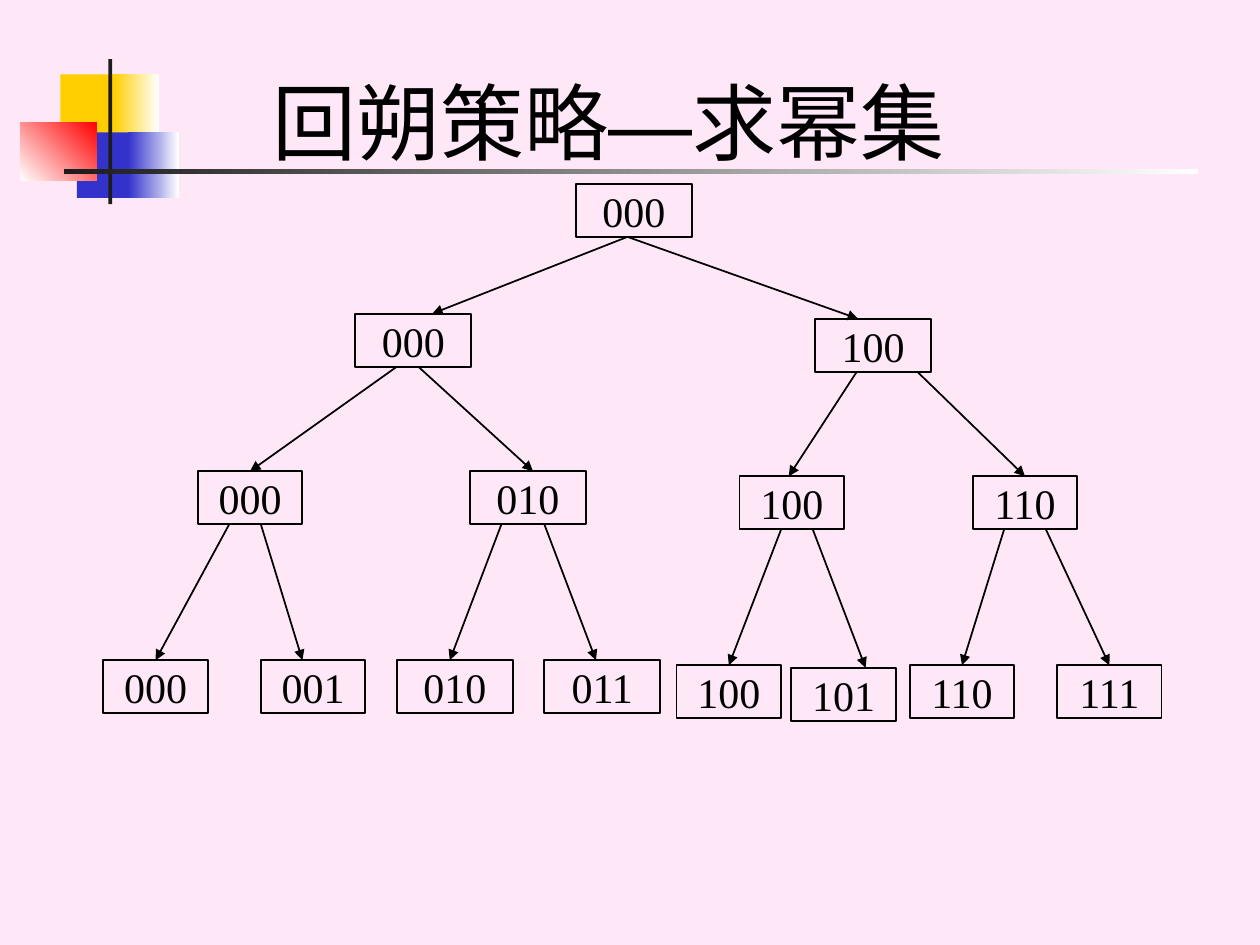
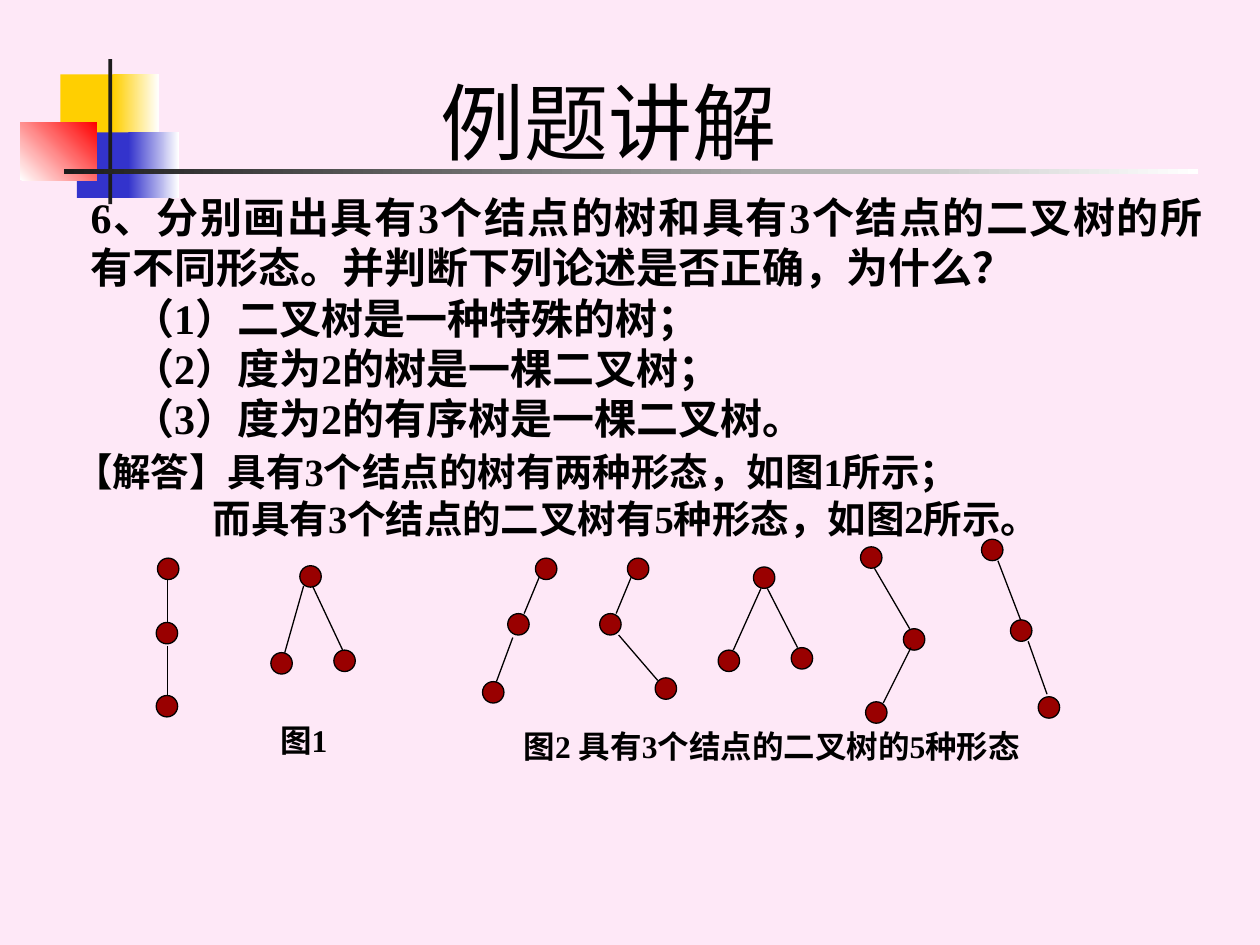
from lxml import etree
from pptx import Presentation
from pptx.dml.color import RGBColor
from pptx.enum.shapes import MSO_CONNECTOR, MSO_SHAPE
from pptx.enum.text import MSO_ANCHOR, PP_ALIGN
from pptx.oxml.ns import qn
from pptx.util import Inches, Pt

RECT, OVAL = MSO_SHAPE.RECTANGLE, MSO_SHAPE.OVAL
STRAIGHT = MSO_CONNECTOR.STRAIGHT
CENTER, JUSTIFY, LEFT = PP_ALIGN.CENTER, PP_ALIGN.JUSTIFY, PP_ALIGN.LEFT
MIDDLE = MSO_ANCHOR.MIDDLE

PINK = RGBColor(0xFE, 0xE8, 0xF7)
YELLOW = RGBColor(0xFF, 0xCF, 0x01)
BLUE = RGBColor(0x33, 0x33, 0xCC)
RED = RGBColor(0xFF, 0x00, 0x00)
DARK = RGBColor(0x1C, 0x1C, 0x1C)
WHITE = RGBColor(0xFF, 0xFF, 0xFF)
BLACK = RGBColor(0x00, 0x00, 0x00)
MAROON = RGBColor(0x99, 0x00, 0x00)

SERIF, SANS, DASH = "Times New Roman", "Cabin", "Arial"

# The slide is a grid of 100 columns by 75 rows of square cells
SLIDE_WIDTH, SLIDE_HEIGHT = Inches(10), Inches(7.5)
CELL = SLIDE_WIDTH / 100

NODE_HEIGHT = 4.2
NARROW, WIDE = 8.3, 9.2
DOT = 1.7

# Search tree by level: label, left, top, width, then the columns where
# the arrow from the parent starts and ends
LEVELS = [
    [("000", 45.7, 14.6, WIDE, None, None)],
    [("000", 28.2, 24.9, WIDE, 49.8, 34.3),
     ("100", 64.7, 25.3, WIDE, 49.8, 68.1)],
    [("000", 15.7, 37.4, NARROW, 31.5, 19.8),
     ("010", 37.3, 37.4, WIDE, 33.2, 42.3),
     ("100", 58.7, 37.8, NARROW, 68, 62.6),
     ("110", 77.2, 37.8, NARROW, 72.8, 81.4)],
    [("000", 8.2, 52.4, NARROW, 18.2, 12.3),
     ("001", 20.7, 52.4, NARROW, 20.7, 24),
     ("010", 31.5, 52.4, WIDE, 39.8, 35.7),
     ("011", 43.2, 52.4, WIDE, 43.2, 47.3),
     ("100", 53.7, 52.8, NARROW, 62, 57.8),
     ("101", 62.8, 53, NARROW, 64.5, 68.7),
     ("110", 72.2, 52.8, NARROW, 79.7, 76.4),
     ("111", 83.9, 52.8, NARROW, 83, 88)],
]

# Three-node shapes: corners of the dots, then ends of the branches
TREES = [
    ([(12.5, 44.3), (12.4, 49.4), (12.4, 55.2)],
     [(13.3, 46, 13.3, 49.4), (13.3, 51.3, 13.3, 55.2)]),
    ([(23.8, 44.9), (21.5, 51.8), (26.5, 51.6)],
     [(24.1, 46.5, 22.6, 51.8), (24.8, 46.5, 27.2, 51.6)]),
]
BINARY_TREES = [
    ([(42.5, 44.3), (40.3, 48.7), (38.3, 54.1)],
     [(42.8, 45.8, 41.6, 48.7), (40.7, 50.6, 39.4, 54.1)]),
    ([(49.8, 44.3), (47.6, 48.7), (52, 53.8)],
     [(50.1, 45.8, 48.9, 48.7), (49.1, 50.4, 52.2, 54)]),
    ([(59.8, 45), (57, 51.6), (62.8, 51.4)],
     [(60.4, 46.7, 58.2, 51.6), (60.9, 46.7, 63.3, 51.4)]),
    ([(68.3, 43.4), (71.7, 49.9), (68.7, 55.7)],
     [(69.4, 45.1, 72.2, 49.9), (72.3, 51.4, 70.1, 55.8)]),
    ([(77.9, 42.8), (80.2, 49.2), (82.4, 55.3)],
     [(79.2, 44.5, 81, 49.2), (81.6, 50.9, 83.1, 55.1)]),
]

QUESTION = [
    ("6、分别画出具有3个结点的树和具有3个结点的二叉树的所有不同形态。"
     "并判断下列论述是否正确，为什么？", JUSTIFY, 0),
    ("（1）二叉树是一种特殊的树；", JUSTIFY, 3.3),
    ("（2）度为2的树是一棵二叉树；", JUSTIFY, 3.3),
    ("（3）度为2的有序树是一棵二叉树。", LEFT, 3.3),
]
ANSWER = [
    ("【解答】具有3个结点的树有两种形态，如图1所示；", LEFT, 0),
    ("而具有3个结点的二叉树有5种形态，如图2所示。", LEFT, 11),
]


def cells(*counts):
    return [round(count * CELL) for count in counts]


def add_span(para, text, size, latin=SERIF, east_asian=SANS, bold=False):
    span = para.add_run()
    span.text = text
    formats = {"name": latin, "size": Pt(size), "bold": bold}
    for name, value in formats.items():
        setattr(span.font, name, value)
    span.font.color.rgb = BLACK
    properties = span.font._element
    etree.SubElement(properties, qn("a:ea")).set("typeface", east_asian)


def add_box(shapes, area, inset=True):
    box = shapes.add_textbox(*cells(*area))
    frame = box.text_frame
    frame.word_wrap = True
    if not inset:
        for side in ("left", "top", "right", "bottom"):
            setattr(frame, f"margin_{side}", 0)
    return frame


def add_paragraphs(shapes, area, lines, size, inset=True):
    """Bold text: each line is its wording, alignment and first indent."""
    frame = add_box(shapes, area, inset)
    for number, (text, alignment, indent) in enumerate(lines):
        para = frame.add_paragraph() if number else frame.paragraphs[0]
        para.alignment = alignment
        if indent:
            para._p.get_or_add_pPr().set("indent", str(cells(indent)[0]))
        add_span(para, text, size, bold=True)


def add_shape(shapes, kind, area, fill=None, line_width=None):
    shape = shapes.add_shape(kind, *cells(*area))
    shape.shadow.inherit = False
    if fill is None:
        shape.fill.background()
    else:
        shape.fill.solid()
        shape.fill.fore_color.rgb = fill
    if line_width is None:
        shape.line.fill.background()
    else:
        shape.line.color.rgb = BLACK
        shape.line.width = Pt(line_width)
    return shape


def add_fade(shapes, area, first, last, angle=0):
    shape = add_shape(shapes, RECT, area)
    shape.fill.gradient()
    shape.fill.gradient_angle = angle
    for stop, colour in zip(shape.fill.gradient_stops, (first, last)):
        stop.color.rgb = colour


def add_line(shapes, ends, width, arrow=False):
    line = shapes.add_connector(STRAIGHT, *cells(*ends))
    line.line.color.rgb = BLACK
    line.line.width = Pt(width)
    if arrow:
        outline = line.line._get_or_add_ln()
        etree.SubElement(outline, qn("a:tailEnd")).set("type", "triangle")
    etree.SubElement(line._element.spPr, qn("a:effectLst"))
    return line


def add_page(deck, title_spans):
    """Blank page with background, corner ornament, rule and title."""
    page = deck.slides.add_slide(deck.slide_layouts[6])
    page.background.fill.solid()
    page.background.fill.fore_color.rgb = PINK
    shapes = page.shapes
    add_shape(shapes, RECT, (4.8, 5.9, 4.8, 5.2), YELLOW)
    add_fade(shapes, (9, 5.9, 3.6, 5.2), YELLOW, WHITE)
    add_shape(shapes, RECT, (6.1, 10.5, 4.6, 5.2), BLUE)
    add_fade(shapes, (10.2, 10.5, 4, 5.2), BLUE, WHITE)
    add_fade(shapes, (1.6, 9.7, 6.1, 4.6), WHITE, RED, 45)
    add_shape(shapes, RECT, (8.6, 4.7, 0.3, 11.5), DARK)
    add_fade(shapes, (5.1, 13.4, 90, 0.4), DARK, WHITE)

    para = add_box(shapes, (5.7, 5.1, 85.2, 9)).paragraphs[0]
    para.alignment = CENTER
    for text, font in title_spans:
        add_span(para, text, 48, font, font)
    return shapes


def add_node(shapes, label, left, top, width):
    box = add_shape(shapes, RECT, (left, top, width, NODE_HEIGHT), line_width=1)
    frame = box.text_frame
    frame.word_wrap = False
    frame.vertical_anchor = MIDDLE
    para = frame.paragraphs[0]
    para.alignment = CENTER
    add_span(para, label, 24)
    return box


def add_search_tree(shapes):
    parents = []
    for level in LEVELS:
        bottoms = []
        for number, (label, left, top, width, start, end) in enumerate(level):
            box = add_node(shapes, label, left, top, width)
            bottoms.append(top + NODE_HEIGHT)
            if parents:
                ends = (start, parents[number // 2], end, top)
                arrow = add_line(shapes, ends, 1, arrow=True)
                if abs(left + width / 2 - end) < 0.1:
                    arrow.end_connect(box, 0)
        parents = bottoms


def add_figure(shapes, trees, caption, caption_area):
    """Group of small trees with a caption below."""
    members = shapes.add_group_shape().shapes
    for dots, branches in trees:
        for left, top in dots:
            add_shape(members, OVAL, (left, top, DOT, DOT), MAROON, 0.75)
        for ends in branches:
            add_line(members, ends, 0.75)
    add_paragraphs(members, caption_area, [(caption, CENTER, 0)], 18, inset=False)


def main():
    deck = Presentation()
    deck.slide_width, deck.slide_height = SLIDE_WIDTH, SLIDE_HEIGHT

    # Power set by backtracking
    shapes = add_page(deck, [("回朔策略", SANS), ("—", DASH), ("求幂集", SANS)])
    add_search_tree(shapes)

    # Worked example
    shapes = add_page(deck, [("例题讲解", SANS)])
    add_paragraphs(shapes, (6.2, 14.7, 90.2, 21), QUESTION, 24)
    add_paragraphs(shapes, (4.9, 35.1, 88.5, 8.4), ANSWER, 22)
    add_figure(shapes, TREES, "图1", (14.7, 57.2, 18.8, 3.4))
    add_figure(shapes, BINARY_TREES, "图2 具有3个结点的二叉树的5种形态",
               (38, 57.7, 46.5, 2.9))

    deck.save("out.pptx")


if __name__ == "__main__":
    main()
